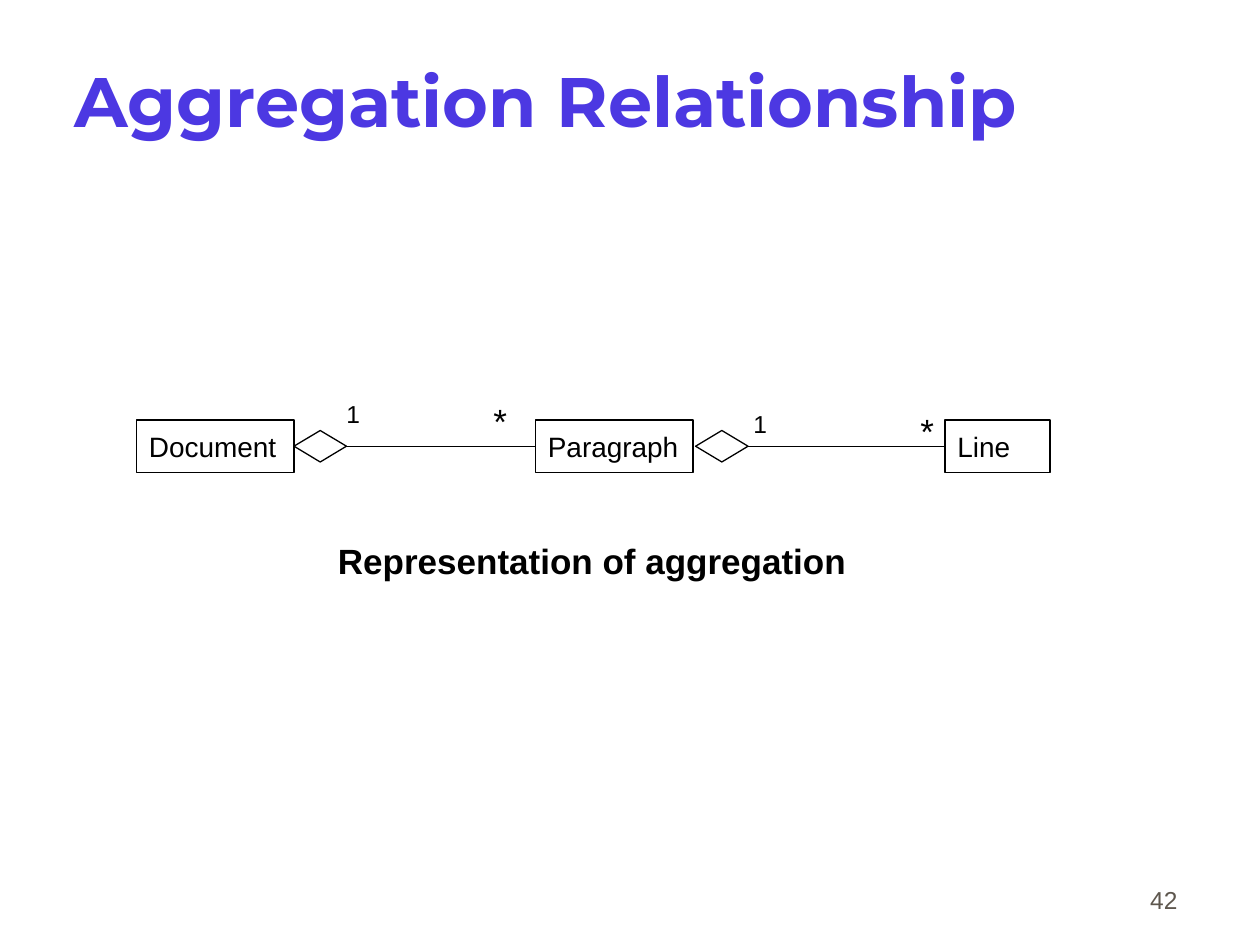
import pptx
import pptx.dml.color
import pptx.enum.shapes
import pptx.enum.text
import pptx.oxml.ns
import pptx.util
from lxml import etree

Pt = pptx.util.Pt
RGBColor = pptx.dml.color.RGBColor
SHAPE = pptx.enum.shapes.MSO_SHAPE
ANCHOR = pptx.enum.text.MSO_ANCHOR
ALIGN = pptx.enum.text.PP_ALIGN

BLACK = RGBColor(0x00, 0x00, 0x00)
TITLE_BLUE = RGBColor(0x4C, 0x38, 0xE2)
NUMBER_GREY = RGBColor(0x5E, 0x57, 0x4E)

AXIS_Y = 255  # centre line of the diagram
CLASS_H = 30
DIAMOND_W, DIAMOND_H = 30, 18
LEFT, RIGHT = 1, 3  # connection sites


def write(tf, text, size, color=BLACK, bold=False, font="Arial",
          align=ALIGN.LEFT, anchor=ANCHOR.TOP, inset=(7.2, 3.6), wrap=False):
    """Format a text frame and add its single run."""
    tf.word_wrap = wrap
    tf.auto_size = pptx.enum.text.MSO_AUTO_SIZE.NONE
    tf.vertical_anchor = anchor
    tf.margin_left = tf.margin_right = Pt(inset[0])
    tf.margin_top = tf.margin_bottom = Pt(inset[1])
    p = tf.paragraphs[0]
    p.alignment = align
    r = p.add_run()
    r.text = text
    r.font.size = Pt(size)
    r.font.name = font
    r.font.bold = bold
    r.font.color.rgb = color


def add_label(s, x, y, w, h, text, size, **style):
    tb = s.shapes.add_textbox(Pt(x), Pt(y), Pt(w), Pt(h))
    write(tb.text_frame, text, size, **style)


def add_outline(s, kind, x, w, h):
    """Add an unfilled shape centred on the diagram axis."""
    sp = s.shapes.add_shape(kind, Pt(x), Pt(AXIS_Y - h / 2), Pt(w), Pt(h))
    sp.shadow.inherit = False
    sp.fill.background()
    sp.line.color.rgb = BLACK
    sp.line.width = Pt(0.75)
    return sp


def add_class(s, x, w, name):
    sp = add_outline(s, SHAPE.RECTANGLE, x, w, CLASS_H)
    write(sp.text_frame, name, 16, anchor=ANCHOR.MIDDLE)
    return sp


def add_aggregation(s, x, part):
    """Add the diamond of the whole and the line to its part."""
    diamond = add_outline(s, SHAPE.FLOWCHART_DECISION, x, DIAMOND_W, DIAMOND_H)
    cx = s.shapes.add_connector(
        pptx.enum.shapes.MSO_CONNECTOR.STRAIGHT,
        Pt(x + DIAMOND_W), Pt(AXIS_Y), part.left, Pt(AXIS_Y))
    cx.begin_connect(diamond, RIGHT)
    cx.end_connect(part, LEFT)
    cx.line.color.rgb = BLACK
    cx.line.width = Pt(0.75)
    sp_pr = cx._element.find(pptx.oxml.ns.qn("p:spPr"))
    etree.SubElement(sp_pr, pptx.oxml.ns.qn("a:effectLst"))


def add_multiplicities(s, y, one_x, many_x):
    add_label(s, one_x, y, 8, 16.5, "1", 14, inset=(0, 0))
    add_label(s, many_x, y, 8, 24, "*", 20, inset=(0, 0))


def add_title(s, text):
    sp = s.shapes.title
    sp.left, sp.top, sp.width, sp.height = Pt(30), Pt(12), Pt(624), Pt(90)
    write(sp.text_frame, text, 40, color=TITLE_BLUE, bold=True,
          font="Montserrat", anchor=ANCHOR.MIDDLE, inset=(1.4, 3.6), wrap=True)
    sp.text_frame.paragraphs[0].space_before = Pt(13.6)


def main():
    prs = pptx.Presentation()
    prs.slide_width, prs.slide_height = Pt(720), Pt(540)
    s = prs.slides.add_slide(prs.slide_layouts[5])
    add_title(s, " Aggregation Relationship")

    # Classes
    add_class(s, 78, 90, "Document")
    paragraph = add_class(s, 306, 90, "Paragraph")
    line = add_class(s, 540, 60, "Line")

    # Aggregations and their multiplicities
    add_aggregation(s, 168, paragraph)
    add_aggregation(s, 397.5, line)
    add_multiplicities(s, 228, 198, 282)
    add_multiplicities(s, 234, 430.5, 526)

    # Caption and slide number
    add_label(s, 186, 304.5, 304.5, 31.5, "Representation of aggregation", 20,
              bold=True)
    add_label(s, 530, 490, 150, 36, "42", 14, color=NUMBER_GREY,
              align=ALIGN.RIGHT, anchor=ANCHOR.BOTTOM, wrap=True)

    prs.save("out.pptx")


if __name__ == "__main__":
    main()
